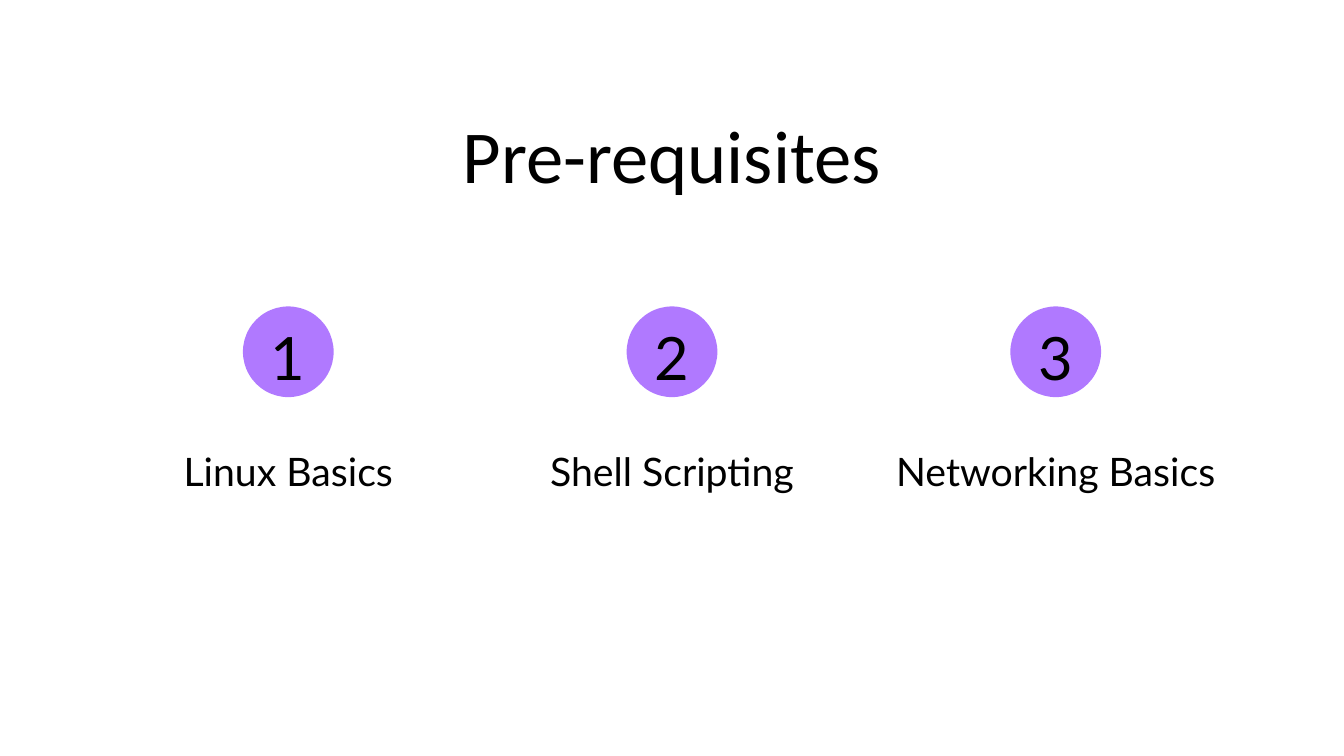
"""Build a slide with three numbered pre-requisites."""
from pptx import Presentation
from pptx import util as u
from pptx.dml.color import RGBColor
from pptx.enum import shapes, text

HEADING = "Pre-requisites"
TOPICS = ["Linux Basics", "Shell Scripting", "Networking Basics"]
WIDTH, HEIGHT = 20, 11.25
PITCH = 5.71
DISC = 1.35
BLACK, PURPLE = "000000", "B079FF"


def colour(value):
    return RGBColor.from_string(value)


def box(center, top, width, height):
    return [u.Inches(n) for n in (center - width / 2, top, width, height)]


def write(shape, words, font, size, spacing):
    frame = shape.text_frame
    frame.text = words
    frame.word_wrap = True
    frame.auto_size = text.MSO_AUTO_SIZE.SHAPE_TO_FIT_TEXT
    frame.vertical_anchor = text.MSO_ANCHOR.TOP
    frame.margin_left = frame.margin_right = frame.margin_top = frame.margin_bottom = 0
    line = frame.paragraphs[0]
    line.alignment = text.PP_ALIGN.CENTER
    line.line_spacing = u.Pt(spacing)
    line.space_before = u.Pt(0)
    style = line.runs[0].font
    style.name, style.size = font, u.Pt(size)
    style.color.rgb = colour(BLACK)


def main():
    deck = Presentation()
    deck.slide_width, deck.slide_height = u.Inches(WIDTH), u.Inches(HEIGHT)
    slide = deck.slides.add_slide(deck.slide_layouts[5])
    heading = slide.shapes.title
    heading.left, heading.top, heading.width, heading.height = box(WIDTH / 2, 1.62, 11.88, 1.35)
    write(heading, HEADING, "Calibri", 80, 96)

    for number, topic in enumerate(TOPICS, 1):
        center = WIDTH / 2 + (number - (len(TOPICS) + 1) / 2) * PITCH
        disc = slide.shapes.add_shape(shapes.MSO_SHAPE.OVAL, *box(center, 4.56, DISC, DISC))
        disc.shadow.inherit = False
        disc.fill.solid()
        disc.fill.fore_color.rgb = colour(PURPLE)
        disc.line.fill.background()
        numeral = slide.shapes.add_textbox(*box(center, 4.45, DISC, 1.32))
        write(numeral, str(number), "Lato", 64, 100.5)
        label = slide.shapes.add_textbox(*box(center, 6.71, 5.01, 0.65))
        write(label, topic, "Lato", 42, 46.2)

    deck.save("out.pptx")


if __name__ == "__main__":
    main()
